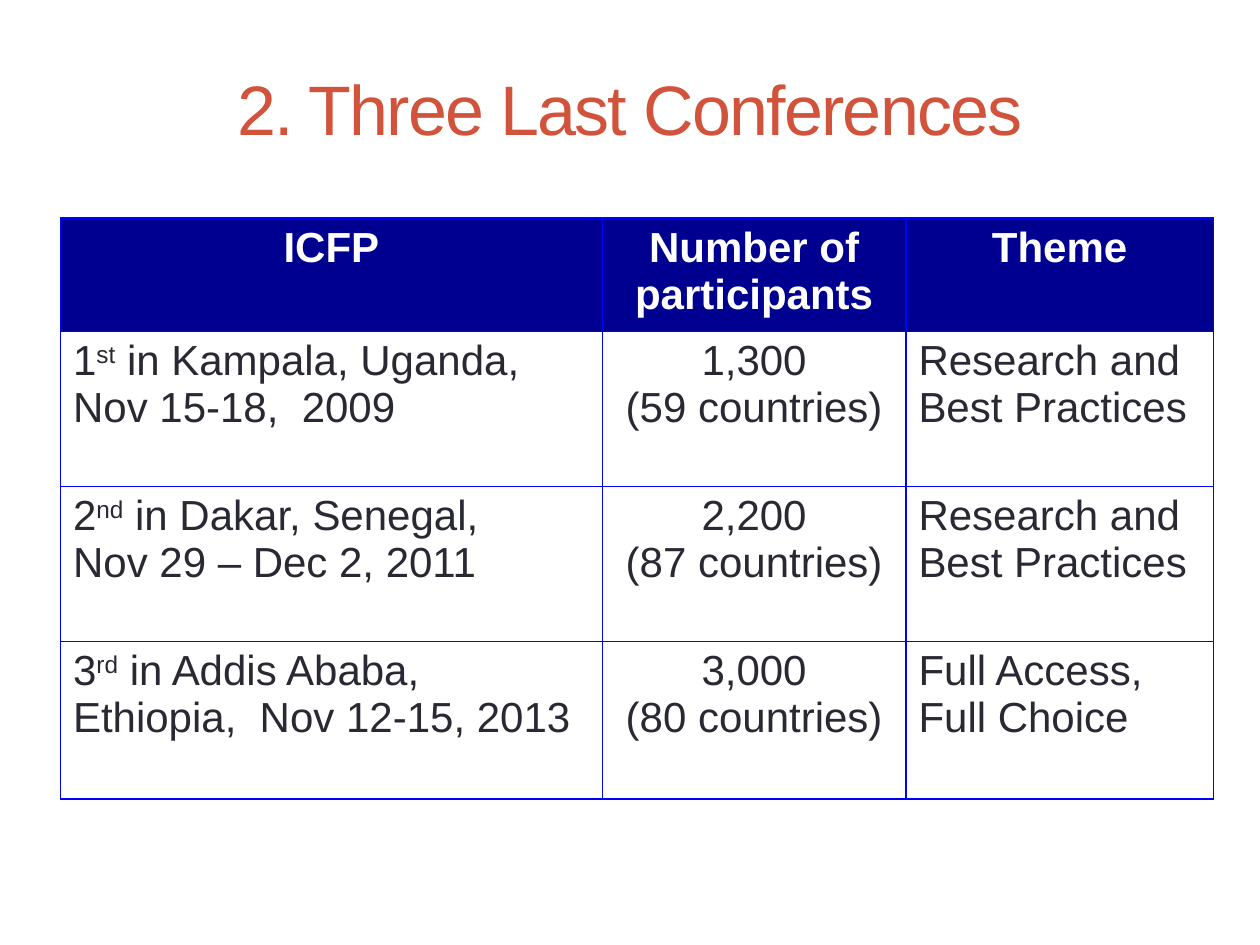
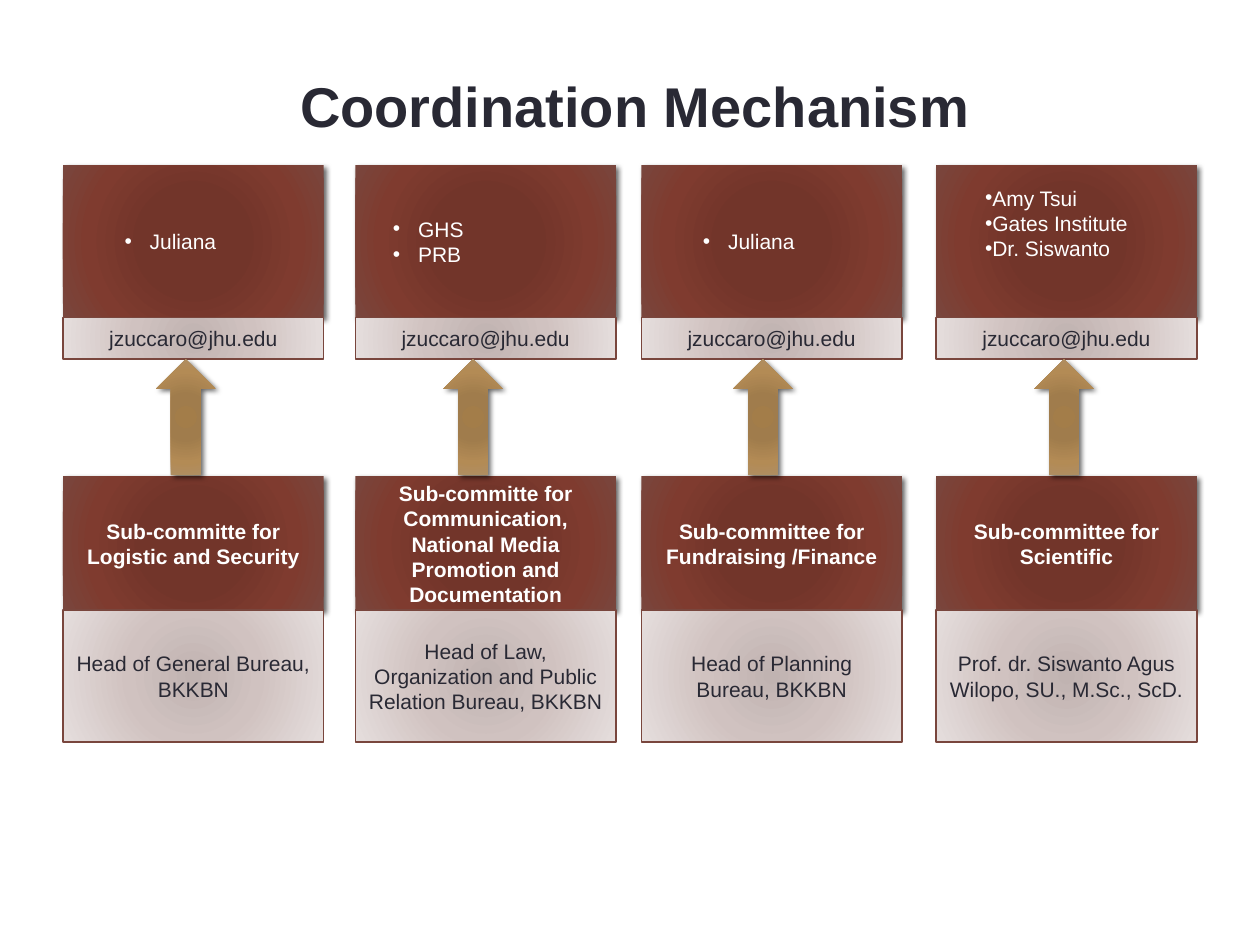
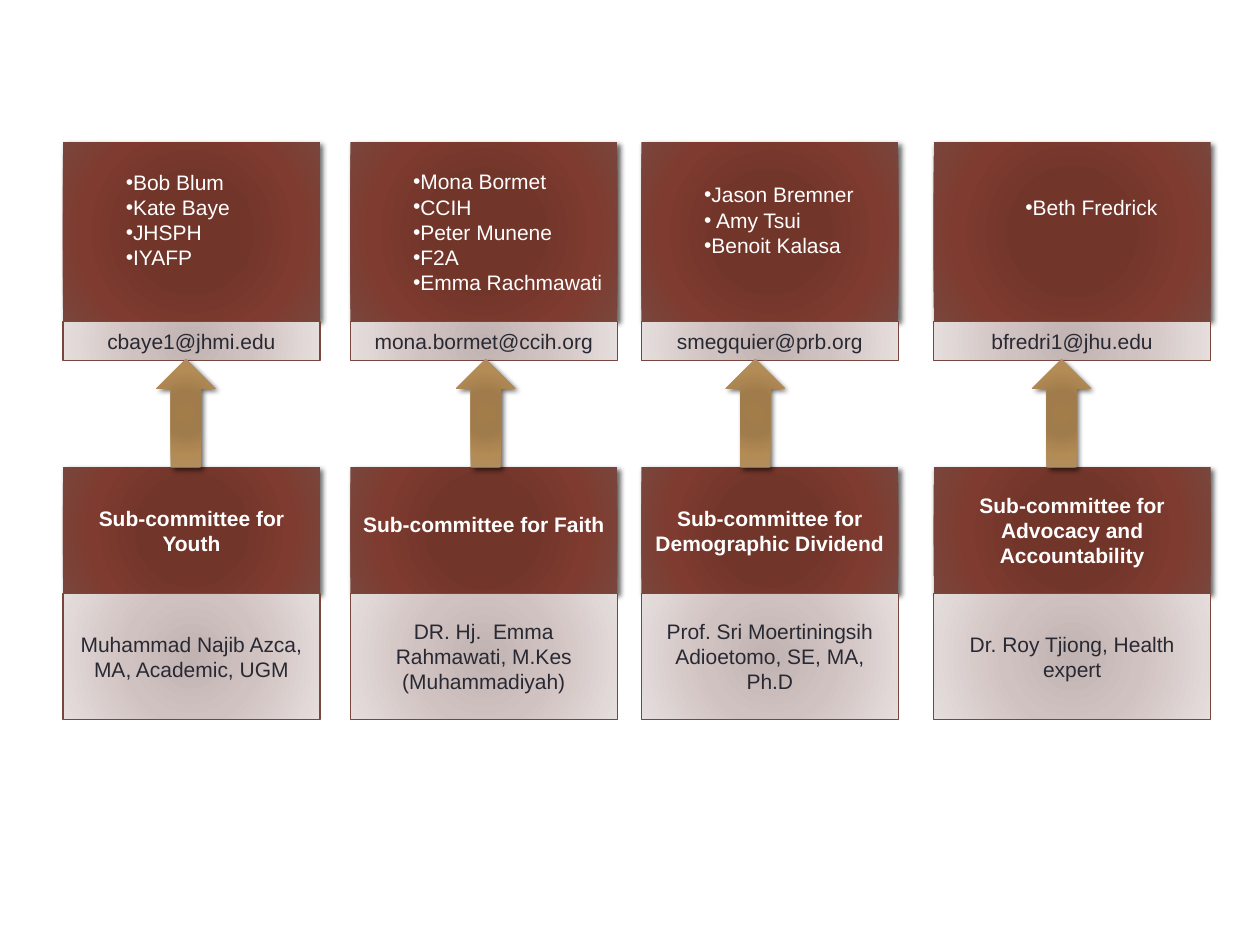
from pptx import Presentation
from pptx.dml.color import RGBColor as Rgb
from pptx.enum.shapes import MSO_SHAPE as Kind
from pptx.enum.text import MSO_ANCHOR as Anchor, PP_ALIGN as Align
from pptx.oxml import parse_xml as to_xml
from pptx.oxml.ns import nsdecls, qn
from pptx.util import Inches, Pt
from lxml.etree import SubElement as Sub

HEX = dict(title="D2533C", ink="292934", white="FFFFFF", navy="000090",
           grid="0000FF", edge="79463D", shade="000000")
GRADS = {
    "dark": [(0, "743327"), (34, "72352A"), (70, "7F3B2F"), (100, "79463D")],
    "light": [(0, "C0B3B1"), (45, "D0C2C0"), (100, "E5DEDD")],
    "arrow": [(0, "A37D49"), (34, "A07C4C"), (70, "B38B55"), (100, "AD8F67")],
}
TITLE = dict(size=40, color="title")
BOLD = dict(size=32, color="ink", bold=True)
HEAD = dict(size=24, color="white", bold=True)
BODY = dict(size=24, color="ink", bold=False)
LABEL = dict(size=12, color="white", bold=True)
NAMES = dict(size=12, color="white")
PLAIN = dict(size=12, color="ink")

WIDTHS = [4.3, 2.41, 2.44]
HEIGHTS = [0.9, 1.23, 1.23, 1.25]
ROWS = [
    [["ICFP"], ["Number of participants"], ["Theme"]],
    [["1^st^ in Kampala, Uganda,", "Nov 15-18,  2009"],
     ["1,300", "(59 countries)"], ["Research and Best Practices"]],
    [["2^nd^ in Dakar, Senegal,", "Nov 29 – Dec 2, 2011"],
     ["2,200", "(87 countries)"], ["Research and Best Practices"]],
    [["3^rd^ in Addis Ababa, Ethiopia,  Nov 12-15, 2013"],
     ["3,000", "(80 countries)"], ["Full Access, Full Choice"]],
]

MECHANISM = dict(
    tops=dict(names=1.31, mail=2.52, arrow=2.85, group=3.78, head=4.84),
    highs=dict(names=1.21, mail=0.33, arrow=0.92, group=1.07, head=1.05),
    cols=[
        dict(x=0.5, w=2.07, tip=1.24, names=["Juliana"], dent=(0.59, -0.2),
             mail="jzuccaro@jhu.edu", group="Sub-committe for Logistic and Security",
             head="Head of General Bureau, BKKBN"),
        dict(x=2.82, w=2.07, tip=3.52, names=["GHS", "PRB"], dent=(0.4, -0.2),
             mail="jzuccaro@jhu.edu",
             group="Sub-committe for Communication, National Media Promotion and Documentation",
             head="Head of Law, Organization and Public Relation Bureau, BKKBN"),
        dict(x=5.09, w=2.07, tip=5.82, names=["Juliana"], dent=(0.59, -0.2),
             mail="jzuccaro@jhu.edu", group="Sub-committee for Fundraising /Finance",
             head="Head of Planning Bureau, BKKBN"),
        dict(x=7.43, w=2.07, tip=8.21, dent=(0.09, 0.2), lift=0.29,
             names=["Amy Tsui", "Gates Institute", "Dr. Siswanto"],
             mail="jzuccaro@jhu.edu", group="Sub-committee for Scientific",
             head="Prof. dr. Siswanto Agus Wilopo, SU., M.Sc., ScD."),
    ])
THEMES = dict(
    tops=dict(names=1.13, mail=2.55, arrow=2.85, group=3.71, head=4.71),
    highs=dict(names=1.42, mail=0.31, arrow=0.86, group=1, head=1),
    cols=[
        dict(x=0.5, w=2.04, tip=1.24, dent=(0.2, 0.2), lift=0.19,
             names=["Bob Blum", "Kate Baye", "JHSPH", "IYAFP"],
             mail="cbaye1@jhmi.edu", group="Sub-committee for Youth",
             head="Muhammad Najib Azca, MA, Academic, UGM"),
        dict(x=2.78, w=2.12, tip=3.62, dent=(0.2, 0.2), rise=0.1,
             names=["Mona Bormet", "CCIH", "Peter Munene", "F2A", "Emma Rachmawati"],
             mail="mona.bormet@ccih.org", group="Sub-committee for Faith",
             head="DR. Hj.  Emma Rahmawati, M.Kes (Muhammadiyah)"),
        dict(x=5.09, w=2.04, tip=5.76, dent=(0.2, 0.2), lift=0.19,
             names=["Jason Bremner", " Amy Tsui", "Benoit Kalasa"],
             mail="smegquier@prb.org", group="Sub-committee for Demographic Dividend",
             head="Prof. Sri Moertiningsih Adioetomo, SE, MA, Ph.D"),
        dict(x=7.41, w=2.2, tip=8.19, dent=(0.63, 0), lift=0.39,
             names=["Beth Fredrick"], mail="bfredri1@jhu.edu",
             group="Sub-committee for Advocacy and Accountability",
             head="Dr. Roy Tjiong, Health expert"),
    ])


def style(font, look):
    for key, val in look.items():
        if key == "color":
            font.color.rgb = Rgb.from_string(HEX[val])
        else:
            setattr(font, key, Pt(val) if key == "size" else val)
    font.name = "Arial"


def write(frame, lines, look, align=Align.CENTER, dent=None):
    frame.word_wrap = True
    for i, line in enumerate(lines):
        para = frame.paragraphs[0] if i == 0 else frame.add_paragraph()
        para.alignment = align
        if dent:
            props = para._p.get_or_add_pPr()
            for key, val in zip(("marL", "indent"), dent):
                props.set(key, str(Inches(val)))
            Sub(props, qn("a:buFont")).set("typeface", "Arial")
            Sub(props, qn("a:buChar")).set("char", "•")
        for j, part in enumerate(line.split("^")):
            run = para.add_run()
            run.text = part
            style(run.font, look)
            if j % 2:
                run.font._element.set("baseline", "30000")


def paint(shape, grad):
    stops = "".join(f'<a:gs pos="{pos * 1000}"><a:srgbClr val="{tone}"/></a:gs>'
                    for pos, tone in GRADS[grad])
    shape._element.spPr.append(to_xml(
        f'<a:gradFill {nsdecls("a")} rotWithShape="1"><a:gsLst>{stops}</a:gsLst>'
        '<a:path path="circle"><a:fillToRect l="100000" t="100000" r="100000" b="100000"/>'
        '</a:path></a:gradFill>'))
    shape.shadow.inherit = False
    if grad == "light":
        shape.line.color.rgb = Rgb.from_string(HEX["edge"])
        shape.line.width = Pt(0.75)
        return
    shape.line.fill.background()
    shape._element.spPr.find(qn("a:effectLst")).append(to_xml(
        f'<a:outerShdw {nsdecls("a")} blurRad="{Pt(3)}" dist="{Pt(2)}" dir="2700000" '
        f'rotWithShape="0"><a:srgbClr val="{HEX["shade"]}"><a:alpha val="60000"/>'
        '</a:srgbClr></a:outerShdw>'))


def block(slide, kind, box, grad):
    shape = slide.shapes.add_shape(kind, *map(Inches, box))
    paint(shape, grad)
    shape.text_frame.vertical_anchor = Anchor.MIDDLE
    return shape


def title(slide, text, box, look, anchor, top=0.05):
    frame = slide.shapes.add_textbox(*map(Inches, box)).text_frame
    frame.vertical_anchor = anchor
    frame.margin_top = Inches(top)
    write(frame, [text], look)
    return frame


def border(cell):
    props = cell._tc.get_or_add_tcPr()
    for i, side in enumerate(("lnL", "lnR", "lnT", "lnB")):
        props.insert(i, to_xml(
            f'<a:{side} {nsdecls("a")} w="{Pt(1)}"><a:solidFill>'
            f'<a:srgbClr val="{HEX["grid"]}"/></a:solidFill></a:{side}>'))


def table(slide):
    box = map(Inches, (0.48, 1.73, sum(WIDTHS), sum(HEIGHTS)))
    grid = slide.shapes.add_table(len(ROWS), len(WIDTHS), *box).table
    for col, wide in zip(grid.columns, WIDTHS):
        col.width = Inches(wide)
    for r, row in enumerate(ROWS):
        grid.rows[r].height = Inches(HEIGHTS[r])
        for c, lines in enumerate(row):
            cell = grid.cell(r, c)
            if r == 0:
                cell.fill.solid()
                cell.fill.fore_color.rgb = Rgb.from_string(HEX["navy"])
            else:
                cell.fill.background()
            border(cell)
            mid = r == 0 or c == 1
            write(cell.text_frame, lines, BODY if r else HEAD,
                  Align.CENTER if mid else Align.LEFT)


def chart(slide, plan):
    tops, highs = plan["tops"], plan["highs"]
    for col in plan["cols"]:
        for part, grad, look in (("group", "dark", LABEL), ("head", "light", PLAIN),
                                 ("names", "dark", NAMES), ("mail", "light", PLAIN)):
            box = (col["x"], tops[part], col["w"], highs[part])
            frame = block(slide, Kind.RECTANGLE, box, grad).text_frame
            if part == "names":
                write(frame, col[part], look, Align.LEFT, col["dent"])
                frame.margin_bottom = Inches(0.05 + col.get("lift", 0))
            else:
                write(frame, [col[part]], look)
            if part == "group":
                frame.margin_bottom = Inches(0.05 + col.get("rise", 0))
        block(slide, Kind.UP_ARROW,
              (col["tip"], tops["arrow"], 0.47, highs["arrow"]), "arrow")


def main():
    deck = Presentation()
    deck.slide_width, deck.slide_height = Inches(10), Inches(7.5)
    first, second, third = (deck.slides.add_slide(deck.slide_layouts[6])
                            for _ in range(3))
    frame = title(first, "2. Three Last Conferences", (0.5, 0.31, 9, 1.08),
                  TITLE, Anchor.MIDDLE)
    frame.paragraphs[0].runs[0].font._element.set("spc", "-100")
    table(first)
    title(second, "Coordination Mechanism", (0, 0, 10.08, 7.5), BOLD, Anchor.TOP, 0.57)
    chart(second, MECHANISM)
    chart(third, THEMES)
    deck.save("out.pptx")


if __name__ == "__main__":
    main()
